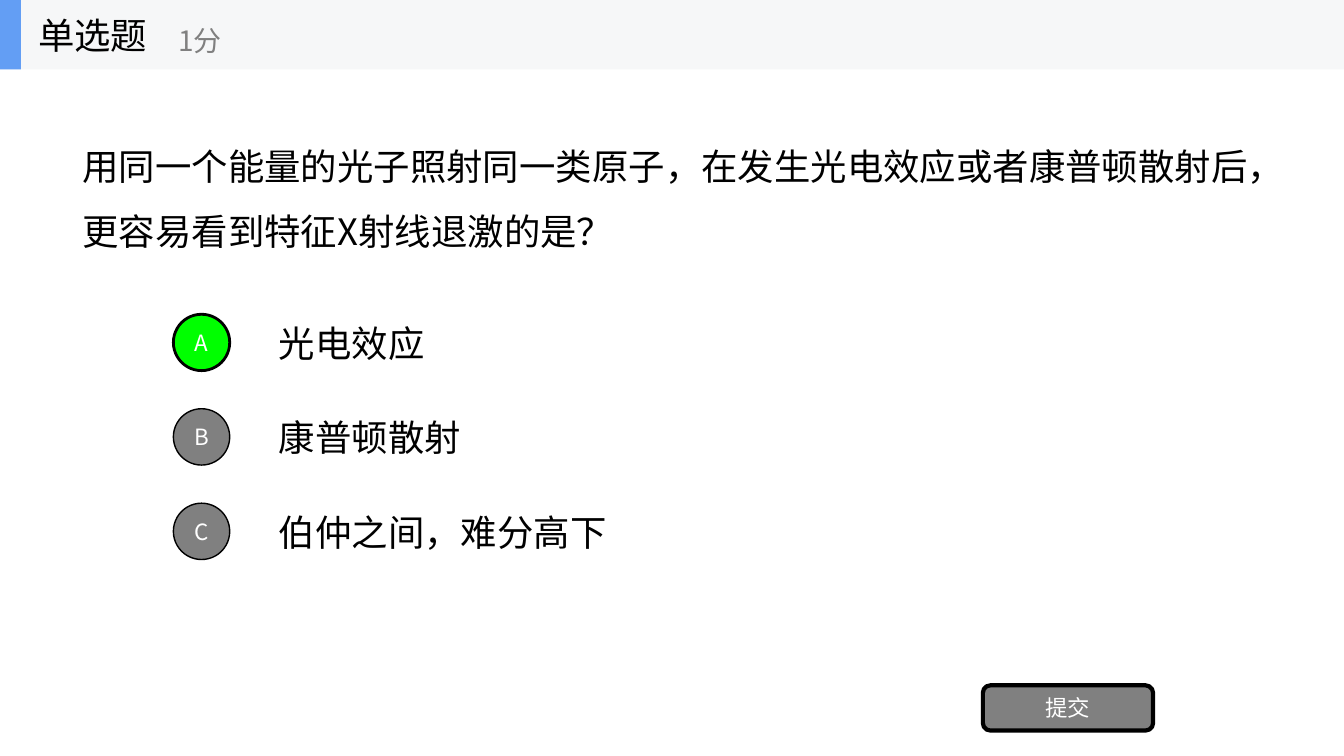
from lxml import etree
from pptx import Presentation
from pptx import util as u
from pptx.dml.color import RGBColor
from pptx.enum import shapes, text
from pptx.oxml.ns import qn

FONT = "Noto Sans CJK SC"
COLORS = {
    "black": "000000",
    "white": "FFFFFF",
    "grey": "808080",
    "green": "00FF00",
    "blue": "639EF4",
    "header": "F6F7F8",
}
WIDTH, HEIGHT = 33.87, 19.05
HEADER_HEIGHT = 1.75
OPTION_STEP = 2.38
OPTIONS = [
    ("A", "光电效应", True),
    ("B", "康普顿散射", False),
    ("C", "伯仲之间，难分高下", False),
]


def color(name):
    return RGBColor.from_string(COLORS[name])


def write(shape, content, size=26, ink="black", align=text.PP_ALIGN.LEFT,
          spacing=None, wrap=True):
    frame = shape.text_frame
    frame.word_wrap = wrap
    frame.vertical_anchor = text.MSO_ANCHOR.MIDDLE
    paragraph = frame.paragraphs[0]
    paragraph.alignment = align
    if spacing:
        paragraph.line_spacing = spacing
    run = paragraph.add_run()
    run.text = content
    run.font.size = u.Pt(size)
    run.font.name = FONT
    run.font.color.rgb = color(ink)
    # Chinese characters take their font from the East Asian setting
    etree.SubElement(run.font._element, qn("a:ea"), typeface=FONT)


def add_label(parent, box, content, **text_format):
    label = parent.shapes.add_textbox(*map(u.Cm, box))
    write(label, content, **text_format)


def add_block(parent, kind, box, fill, line_width=0):
    block = parent.shapes.add_shape(kind, *map(u.Cm, box))
    block.shadow.inherit = False
    block.fill.solid()
    block.fill.fore_color.rgb = color(fill)
    if line_width:
        block.line.color.rgb = color("black")
        block.line.width = u.Pt(line_width)
    else:
        block.line.fill.background()
    return block


def add_button(slide, kind, box, caption, fill="grey", line_width=1):
    button = add_block(slide, kind, box, fill, line_width)
    write(button, caption, size=16, ink="white", align=text.PP_ALIGN.CENTER)


def add_option(slide, index, letter, answer, correct):
    offset = index * OPTION_STEP
    add_label(slide, (6.78, 7.75 + offset, 23.7, 1.78), answer)
    add_button(slide, shapes.MSO_SHAPE.OVAL, (4.37, 7.92 + offset, 1.42, 1.42), letter,
               fill="green" if correct else "grey", line_width=2 if correct else 1)


def add_header(slide, title, score):
    header = slide.shapes.add_group_shape()
    rectangle = shapes.MSO_SHAPE.RECTANGLE
    add_block(header, rectangle, (0, 0, WIDTH, HEADER_HEIGHT), "header")
    add_block(header, rectangle, (0, 0, 0.53, HEADER_HEIGHT), "blue")
    add_label(header, (0.71, 0, 5.28, HEADER_HEIGHT), title, wrap=False)
    add_label(header, (4.24, 0.3, 6.35, 1.42), score, size=20, ink="grey", wrap=False)


def main():
    presentation = Presentation()
    presentation.slide_width = u.Cm(WIDTH)
    presentation.slide_height = u.Cm(HEIGHT)
    slide = presentation.slides.add_slide(presentation.slide_layouts[6])

    add_label(slide, (1.83, HEADER_HEIGHT, 30.2, 5.94),
              "用同一个能量的光子照射同一类原子，在发生光电效应或者康普顿散射后，"
              "更容易看到特征X射线退激的是？", spacing=1.5)
    for index, option in enumerate(OPTIONS):
        add_option(slide, index, *option)
    add_button(slide, shapes.MSO_SHAPE.ROUNDED_RECTANGLE, (24.77, 17.27, 4.29, 1.14),
               "提交", line_width=3)
    add_header(slide, "单选题", "1分")

    presentation.save("out.pptx")


if __name__ == "__main__":
    main()
